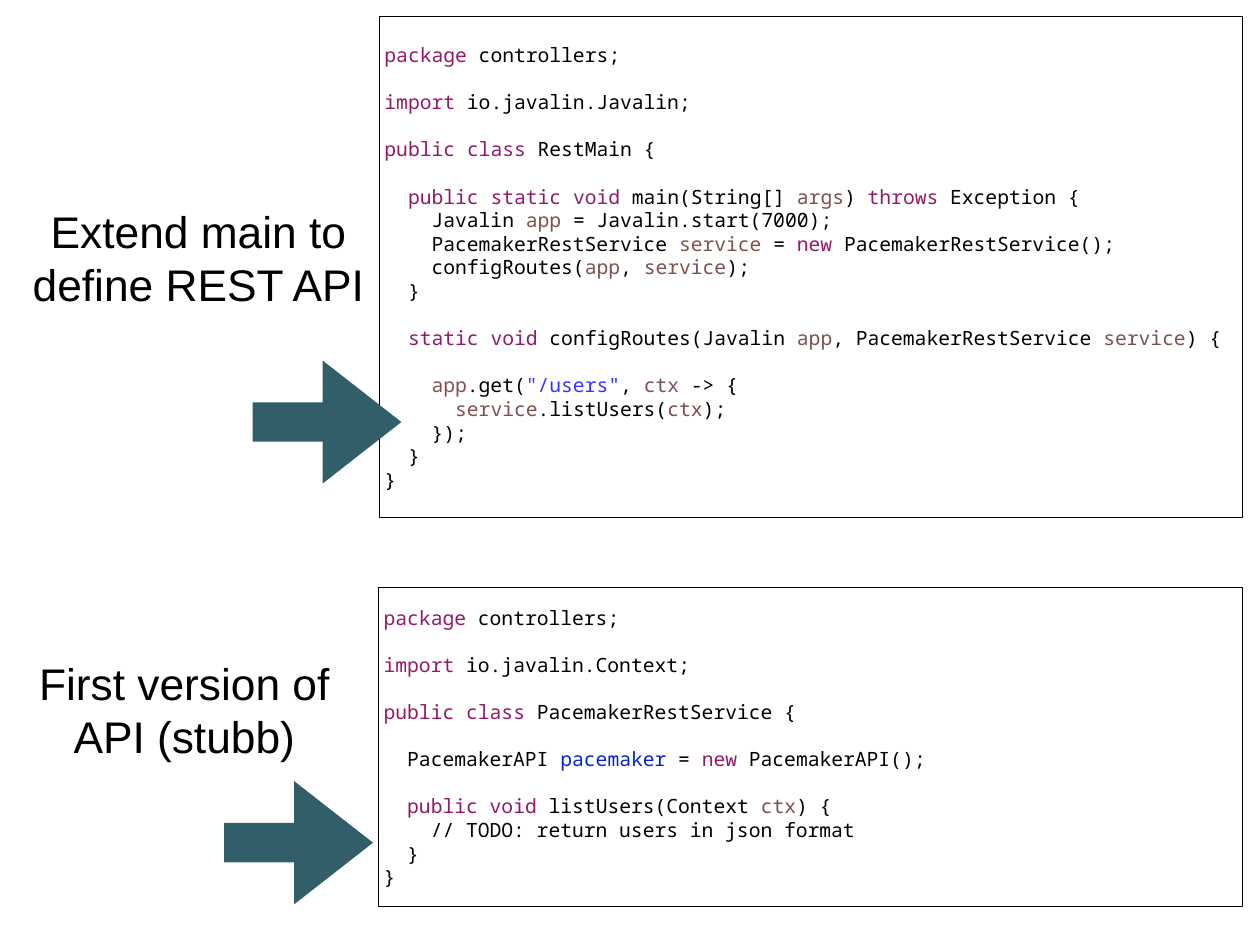
import itertools

import pptx
import pptx.dml.color
import pptx.enum.shapes
import pptx.enum.text
import pptx.util

Inches, Pt = pptx.util.Inches, pptx.util.Pt
RGB = pptx.dml.color.RGBColor.from_string
SHAPE = pptx.enum.shapes.MSO_SHAPE

COLORS = {
    "text": "000000",
    "keyword": "931A68",
    "variable": "7E504F",
    "field": "0326CC",
    "string": "3933FF",
    "arrow": "325E6A",
}
TOKENS = {
    "keyword": ["package", "import", "public", "class", "static", "void", "throws", "new"],
    "variable": ["args", "app", "service", "ctx"],
    "field": ["pacemaker"],
    "string": ['"/users"'],
}
TOKEN_COLORS = {token: COLORS[kind] for kind, tokens in TOKENS.items() for token in tokens}
LINE_HEIGHT = Pt(19.2)

REST_MAIN = """package controllers;

import io.javalin.Javalin;

public class RestMain {

  public static void main(String[] args) throws Exception {
    Javalin app = Javalin.start(7000);
    PacemakerRestService service = new PacemakerRestService();
    configRoutes(app, service);
  }

  static void configRoutes(Javalin app, PacemakerRestService service) {

    app.get("/users", ctx -> {
      service.listUsers(ctx);
    });
  }
}"""

REST_SERVICE = """package controllers;

import io.javalin.Context;

public class PacemakerRestService {

  PacemakerAPI pacemaker = new PacemakerAPI();

  public void listUsers(Context ctx) {
    // TODO: return users in json format
  }
}"""


def prepare_frame(shape):
    """Wrap the text, centre it vertically and set narrow margins."""
    frame = shape.text_frame
    frame.word_wrap = True
    frame.vertical_anchor = pptx.enum.text.MSO_ANCHOR.MIDDLE
    frame.margin_left = frame.margin_right = Inches(0.06)
    frame.margin_top = frame.margin_bottom = Inches(0.06)
    return frame


def write_code(frame, code):
    """Add one coloured paragraph per code line; an empty line becomes space before."""
    paragraph, gap = frame.paragraphs[0], False
    for line in code.splitlines():
        if not line:
            gap = True
            continue
        if paragraph.runs:
            paragraph = frame.add_paragraph()
        paragraph.alignment = pptx.enum.text.PP_ALIGN.LEFT
        paragraph.line_spacing = LINE_HEIGHT
        if gap:
            paragraph.space_before = LINE_HEIGHT
        gap = False
        for _, letters in itertools.groupby(line, lambda c: c.isalnum() or c in '"/'):
            run = paragraph.add_run()
            run.text = "".join(letters)
            run.font.color.rgb = RGB(TOKEN_COLORS.get(run.text, COLORS["text"]))
        paragraph.font.name = "Noto Sans Mono"
        paragraph.font.size = Pt(16)


presentation = pptx.Presentation()
presentation.slide_width = Inches(14.22)
presentation.slide_height = Inches(10.67)
slide = presentation.slides.add_slide(presentation.slide_layouts[6])

for code, left, top, width, height in [
    (REST_SERVICE, 4.27, 6.63, 9.75, 3.61),
    (REST_MAIN, 4.28, 0.19, 9.74, 5.65),
]:
    listing = slide.shapes.add_shape(
        SHAPE.RECTANGLE, Inches(left), Inches(top), Inches(width), Inches(height))
    listing.shadow.inherit = False
    listing.fill.background()
    listing.line.color.rgb = RGB(COLORS["text"])
    listing.line.width = Pt(1)
    write_code(prepare_frame(listing), code)

for caption, caption_left, caption_top, arrow_left, arrow_top in [
    ("Extend main to define REST API", 0.3, 2.24, 2.85, 4.07),
    ("First version of API (stubb)", 0.14, 7.35, 2.53, 8.82),
]:
    label = slide.shapes.add_textbox(
        Inches(caption_left), Inches(caption_top), Inches(3.88), Inches(1.32))
    heading = prepare_frame(label).paragraphs[0]
    heading.text = caption
    heading.alignment = pptx.enum.text.PP_ALIGN.CENTER
    heading.font.name = "Arial"
    heading.font.size = Pt(36)
    heading.font.color.rgb = RGB(COLORS["text"])

    arrow = slide.shapes.add_shape(
        SHAPE.RIGHT_ARROW, Inches(arrow_left), Inches(arrow_top), Inches(1.68), Inches(1.39))
    arrow.adjustments[0] = 0.32
    arrow.adjustments[1] = 0.64
    arrow.shadow.inherit = False
    arrow.fill.solid()
    arrow.fill.fore_color.rgb = RGB(COLORS["arrow"])
    arrow.line.fill.background()

presentation.save("out.pptx")
